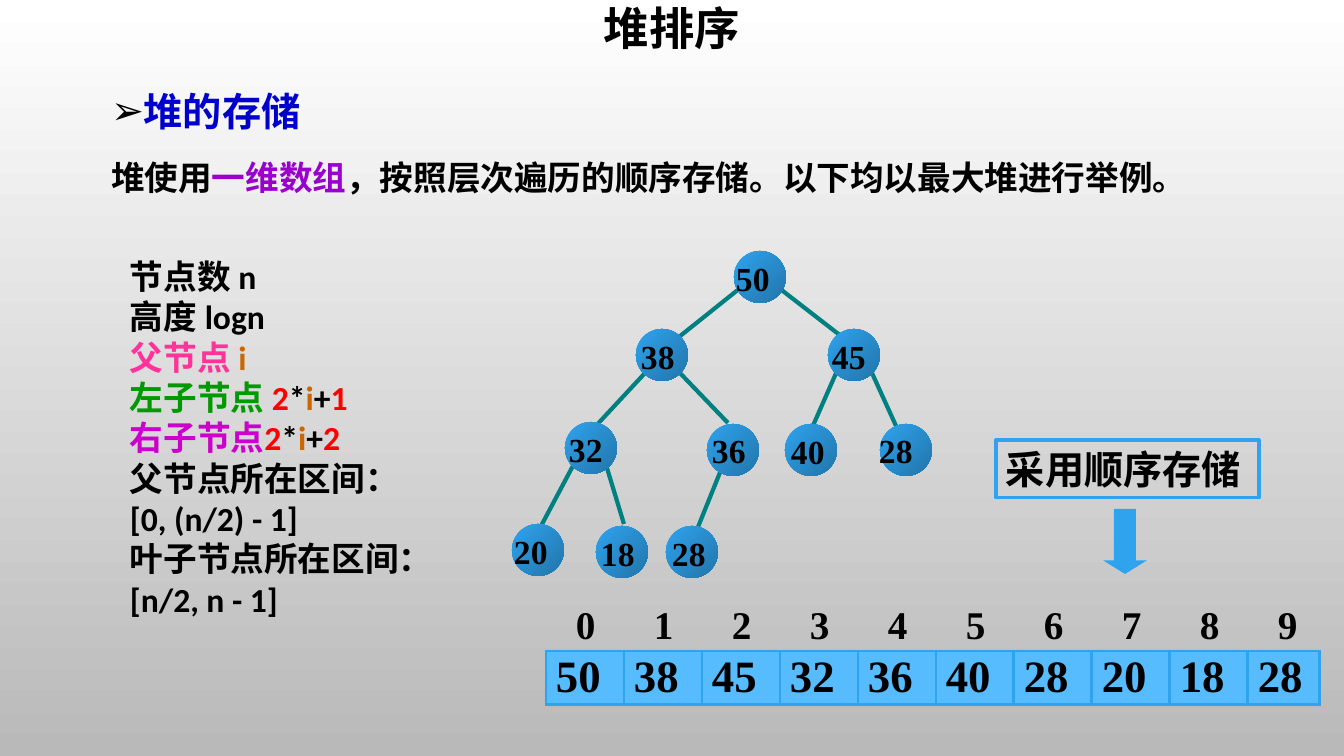
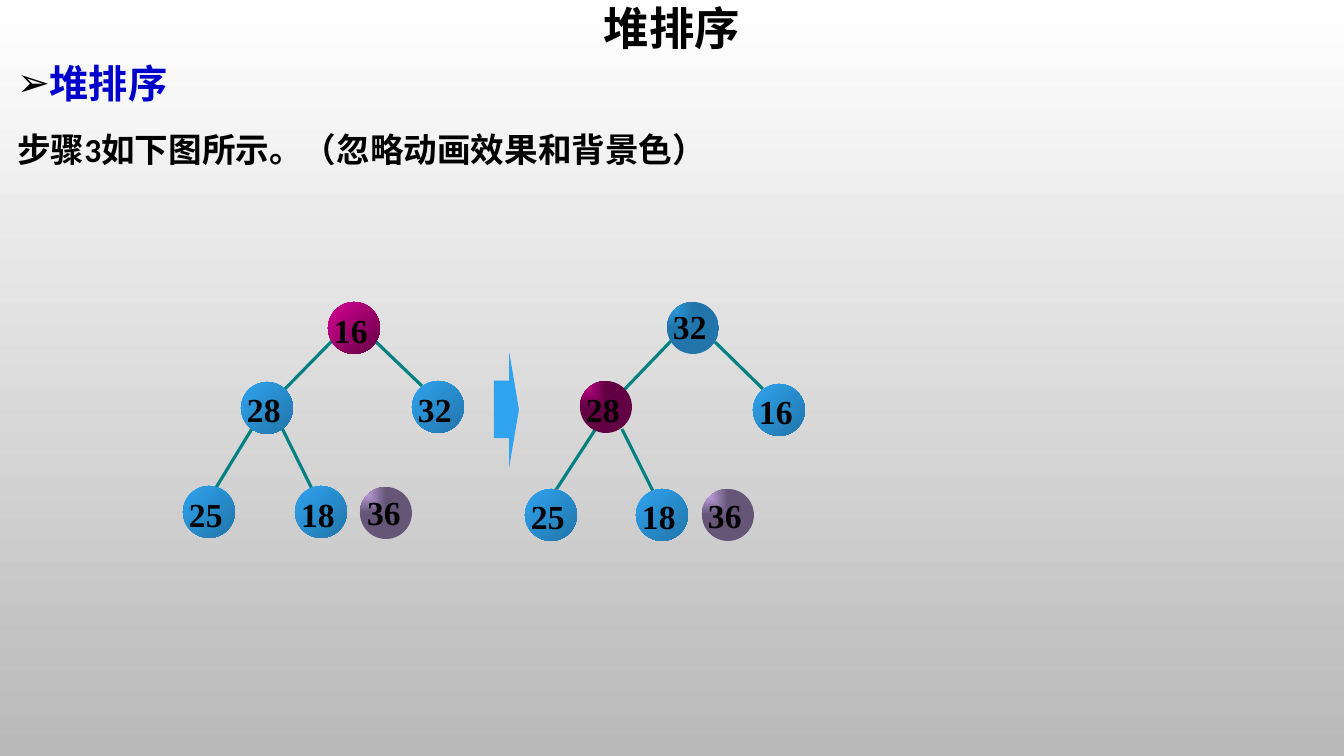
from lxml.etree import SubElement
from pptx import Presentation
from pptx.dml.color import RGBColor
from pptx.enum.shapes import MSO_CONNECTOR, MSO_SHAPE
from pptx.enum.text import MSO_ANCHOR, MSO_AUTO_SIZE, PP_ALIGN
from pptx.oxml import parse_xml
from pptx.oxml.ns import nsdecls, qn
from pptx.util import Pt

WIDE, HIGH = 1344, 756
SCALE = 12192000 / WIDE

HUES = {
    "black": "000000", "white": "FFFFFF", "grey": "B9B9B9",
    "blue": "0000CC", "violet": "9900CC", "pink": "FF3399",
    "brown": "CC6600", "green": "009900", "red": "FF0000",
    "plum": "CC00CC", "teal": "008080", "sky": "2FA3EE",
    "deep": "2275AA", "cell": "56BCFE", "rose": "D60093",
    "wine": "630044", "lilac": "DBB7FF", "dusk": "655576",
}
LATIN, SERIF = "Calibri", "Times New Roman"
TITLE = "堆排序"
TITLE_BOX = (101, 0, 1142, 62)
BALL = 52
BLUE = ("sky", "deep", False)
BLUE_IN = ("sky", "deep", True)
ROSE = ("rose", "wine", False)
ROSE_IN = ("rose", "wine", True)
LILAC = ("lilac", "dusk", True)

STORE = {
    "box": (101, 73, 1095, 132),
    "head": "堆的存储",
    "text": [("堆使用", "black"), ("一维数组", "violet"),
             ("，按照层次遍历的顺序存储。以下均以最大堆进行举例。", "black")],
}
STEP = {
    "box": (7, 45, 1123, 667),
    "head": "堆排序",
    "text": [("步骤3如下图所示。（忽略动画效果和背景色）", "black")],
}
FACTS = [
    [("节点数 n", "black")],
    [("高度 logn", "black")],
    [("父节点 ", "pink"), ("i", "brown")],
    [("左子节点 ", "green"), ("2", "red"), ("*", "black"),
     ("i", "brown"), ("+", "black"), ("1", "red")],
    [("右子节点", "plum"), ("2", "red"), ("*", "black"),
     ("i", "brown"), ("+", "black"), ("2", "red")],
    [("父节点所在区间：", "black")],
    [("[0, (n/2) - 1]", "black")],
    [("叶子节点所在区间：", "black")],
    [("[n/2, n - 1]", "black")],
]
HEAP = [50, 38, 45, 32, 36, 40, 28, 20, 18, 28]
GRID = {"left": 546, "right": 1320, "top": 601, "step": 78, "rows": (50, 51)}

HEAP_TREE = {
    "width": 3,
    "nodes": [
        (50, 734, 251, 1, 4, BLUE), (38, 636, 329, 4, 4, BLUE),
        (45, 828, 329, 3, 4, BLUE), (32, 565, 422, 3, 4, BLUE),
        (36, 707, 424, 4, 3, BLUE), (40, 785, 424, 5, 4, BLUE),
        (28, 880, 424, -2, 3, BLUE), (20, 512, 524, 1, 4, BLUE),
        (18, 596, 526, 4, 4, BLUE), (28, 666, 526, 5, 4, BLUE),
    ],
    "edges": [
        (739, 289, 679, 337), (779, 288, 841, 336), (646, 372, 594, 428),
        (679, 372, 728, 423), (837, 371, 812, 428), (872, 373, 897, 428),
        (574, 464, 540, 528), (607, 468, 624, 524), (721, 470, 692, 542),
    ],
}
FIRST_TREE = {
    "width": 2.25,
    "nodes": [
        (16, 328, 302, 5, 5, ROSE), (28, 241, 382, 5, 4, BLUE),
        (32, 412, 381, 5, 5, BLUE), (25, 183, 486, 5, 5, BLUE),
        (18, 295, 486, 5, 5, BLUE), (36, 360, 487, 6, 2, LILAC),
    ],
    "edges": [
        (332, 341, 283, 391), (373, 339, 422, 386),
        (253, 427, 214, 491), (281, 426, 313, 491),
    ],
}
NEXT_TREE = {
    "width": 2.25,
    "nodes": [
        (32, 667, 302, 5, 1, BLUE_IN), (28, 580, 381, 5, 5, ROSE_IN),
        (16, 753, 384, 5, 4, BLUE), (25, 525, 489, 5, 4, BLUE),
        (18, 636, 489, 5, 4, BLUE), (36, 702, 489, 5, 3, LILAC),
    ],
    "edges": [
        (671, 341, 623, 391), (715, 342, 763, 389),
        (595, 430, 554, 493), (622, 429, 654, 493),
    ],
}


def px(num):
    return round(num * SCALE)


def rgb(key):
    return RGBColor.from_string(HUES[key])


def put(item, **vals):
    for name, val in vals.items():
        setattr(item, name, val)


def place(item, box):
    put(item, **dict(zip(("left", "top", "width", "height"), map(px, box))))


def inset(item, *sides):
    names = ("margin_left", "margin_top", "margin_right", "margin_bottom")
    put(item, **dict(zip(names, map(px, sides))))


def write(para, runs, size, face, **vals):
    put(para, **vals)
    for text, hue in runs:
        run = para.add_run()
        run.text = text
        put(run.font, size=Pt(size), name=face, bold=True)
        run.font.color.rgb = rgb(hue)


def blend(fill, start, end, angle):
    fill.gradient()
    fill.gradient_angle = angle
    for stop, hue in zip(fill.gradient_stops, (start, end)):
        stop.color.rgb = rgb(hue)


def solid(shape, hue):
    shape.fill.solid()
    shape.fill.fore_color.rgb = rgb(hue)


def form(shapes, kind, box):
    shape = shapes.add_shape(kind, *map(px, box))
    shape.shadow.inherit = False
    shape.line.fill.background()
    return shape


def arrow(slide, kind, box, head):
    shape = form(slide.shapes, kind, box)
    solid(shape, "sky")
    shape.adjustments[0], shape.adjustments[1] = 0.5, head


def edge(shapes, ends, width):
    line = shapes.add_connector(MSO_CONNECTOR.STRAIGHT, *map(px, ends))
    line.line.color.rgb = rgb("teal")
    line.line.width = Pt(width)
    SubElement(line._element.spPr, qn("a:effectLst"))


def node(shapes, value, left, top, dx, dy, look):
    ball = form(shapes, MSO_SHAPE.OVAL, (left, top, BALL, BALL))
    start, end, inner = look
    blend(ball.fill, start, end, 315)
    if inner:
        lin = ball._element.spPr.find(".//" + qn("a:lin"))
        lin.getparent().replace(lin, parse_xml(
            f'<a:path {nsdecls("a")} path="rect">'
            '<a:fillToRect r="100000" b="100000"/></a:path>'))
    label = shapes.add_textbox(*map(px, (left + dx, top + dy, 59, 44)))
    frame = label.text_frame
    frame.word_wrap = True
    inset(frame, 1, 3, 0, 1)
    write(frame.paragraphs[0], [(str(value), "black")], 24, SERIF)


def tree(slide, plan):
    shapes = slide.shapes.add_group_shape().shapes
    for ends in plan["edges"]:
        edge(shapes, ends, plan["width"])
    for item in plan["nodes"]:
        node(shapes, *item)


def bullet(para, mark):
    props = para._p.get_or_add_pPr()
    step = px(25) if mark else 0
    props.set("marL", str(step))
    props.set("indent", str(-step))
    if mark:
        hue = SubElement(SubElement(props, qn("a:buClr")), qn("a:srgbClr"))
        hue.set("val", HUES["black"])
        SubElement(props, qn("a:buChar")).set("char", mark)
    else:
        SubElement(props, qn("a:buNone"))


def page(deck, plan):
    slide = deck.slides.add_slide(deck.slide_layouts[1])
    title, body = slide.placeholders
    frame = title.text_frame
    put(frame, auto_size=MSO_AUTO_SIZE.NONE, vertical_anchor=MSO_ANCHOR.MIDDLE)
    write(frame.paragraphs[0], [(TITLE, "black")], 32.4, LATIN,
          alignment=PP_ALIGN.CENTER, line_spacing=0.9)
    place(body, plan["box"])
    frame = body.text_frame
    frame.auto_size = MSO_AUTO_SIZE.NONE
    rows = [([(plan["head"], "blue")], 28, SERIF, "➢"),
            (plan["text"], 24, LATIN, None)]
    for spot, (runs, size, face, mark) in enumerate(rows):
        para = frame.add_paragraph() if spot else frame.paragraphs[0]
        write(para, runs, size, face, line_spacing=1.2, space_before=Pt(10))
        bullet(para, mark)
    return slide


def border(cell, hues):
    props = cell._tc.get_or_add_tcPr()
    for spot, (side, hue) in enumerate(zip("LRTB", hues)):
        paint = (f'<a:solidFill><a:srgbClr val="{HUES[hue]}"/></a:solidFill>'
                 if hue else "<a:noFill/>")
        props.insert(spot, parse_xml(
            f'<a:ln{side} {nsdecls("a")} w="{Pt(2.25)}">{paint}</a:ln{side}>'))


def array(slide):
    left, right, step = GRID["left"], GRID["right"], GRID["step"]
    box = (left, GRID["top"], right - left, sum(GRID["rows"]))
    table = slide.shapes.add_table(2, len(HEAP), *map(px, box)).table
    put(table, first_row=False, horz_banding=False)
    for row, high in zip(table.rows, GRID["rows"]):
        row.height = px(high)
    looks = [(28, 30, None, (None, None, None, "sky")),
             (32, 10, "cell", ("sky",) * 4)]
    for col, value in enumerate(HEAP):
        table.columns[col].width = px(min(step, right - left - col * step))
        for row, (size, pad, hue, sides) in enumerate(looks):
            cell = table.cell(row, col)
            inset(cell, pad, 0, 0, 0)
            cell.vertical_anchor = MSO_ANCHOR.MIDDLE
            if hue:
                solid(cell, hue)
            else:
                cell.fill.background()
            border(cell, sides)
            text = str(value if row else col)
            write(cell.text_frame.paragraphs[0], [(text, "black")], size, SERIF)


def facts(slide):
    box = slide.shapes.add_textbox(*map(px, (120, 251, 328, 410)))
    frame = box.text_frame
    frame.word_wrap = False
    for spot, runs in enumerate(FACTS):
        para = frame.add_paragraph() if spot else frame.paragraphs[0]
        write(para, runs, 24, LATIN)


def note(slide):
    box = form(slide.shapes, MSO_SHAPE.RECTANGLE, (996, 440, 263, 58))
    box.fill.background()
    box.line.color.rgb = rgb("sky")
    box.line.width = Pt(2.25)
    frame = box.text_frame
    put(frame, word_wrap=True, vertical_anchor=MSO_ANCHOR.TOP)
    write(frame.paragraphs[0], [("采用顺序存储", "black")], 28, SERIF,
          alignment=PP_ALIGN.LEFT)


def main():
    deck = Presentation()
    put(deck, slide_width=px(WIDE), slide_height=px(HIGH))
    blend(deck.slide_master.background.fill, "white", "grey", 270)
    place(deck.slide_layouts[1].placeholders[0], TITLE_BOX)

    slide = page(deck, STORE)
    tree(slide, HEAP_TREE)
    array(slide)
    note(slide)
    arrow(slide, MSO_SHAPE.DOWN_ARROW, (1103, 509, 44, 65), 0.31)
    facts(slide)

    slide = page(deck, STEP)
    tree(slide, FIRST_TREE)
    arrow(slide, MSO_SHAPE.RIGHT_ARROW, (494, 352, 25, 115), 0.39)
    tree(slide, NEXT_TREE)

    deck.save("out.pptx")


if __name__ == "__main__":
    main()
